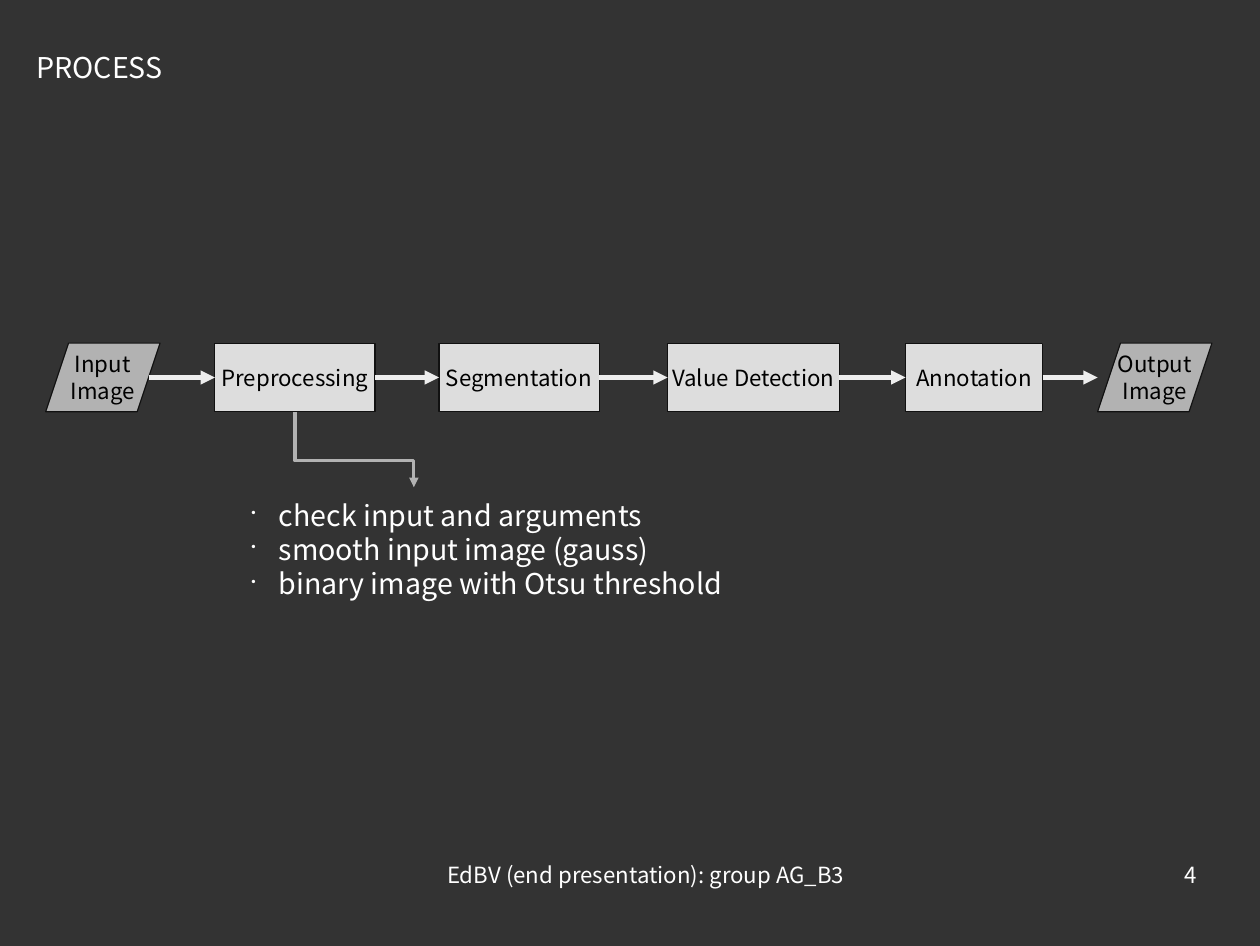
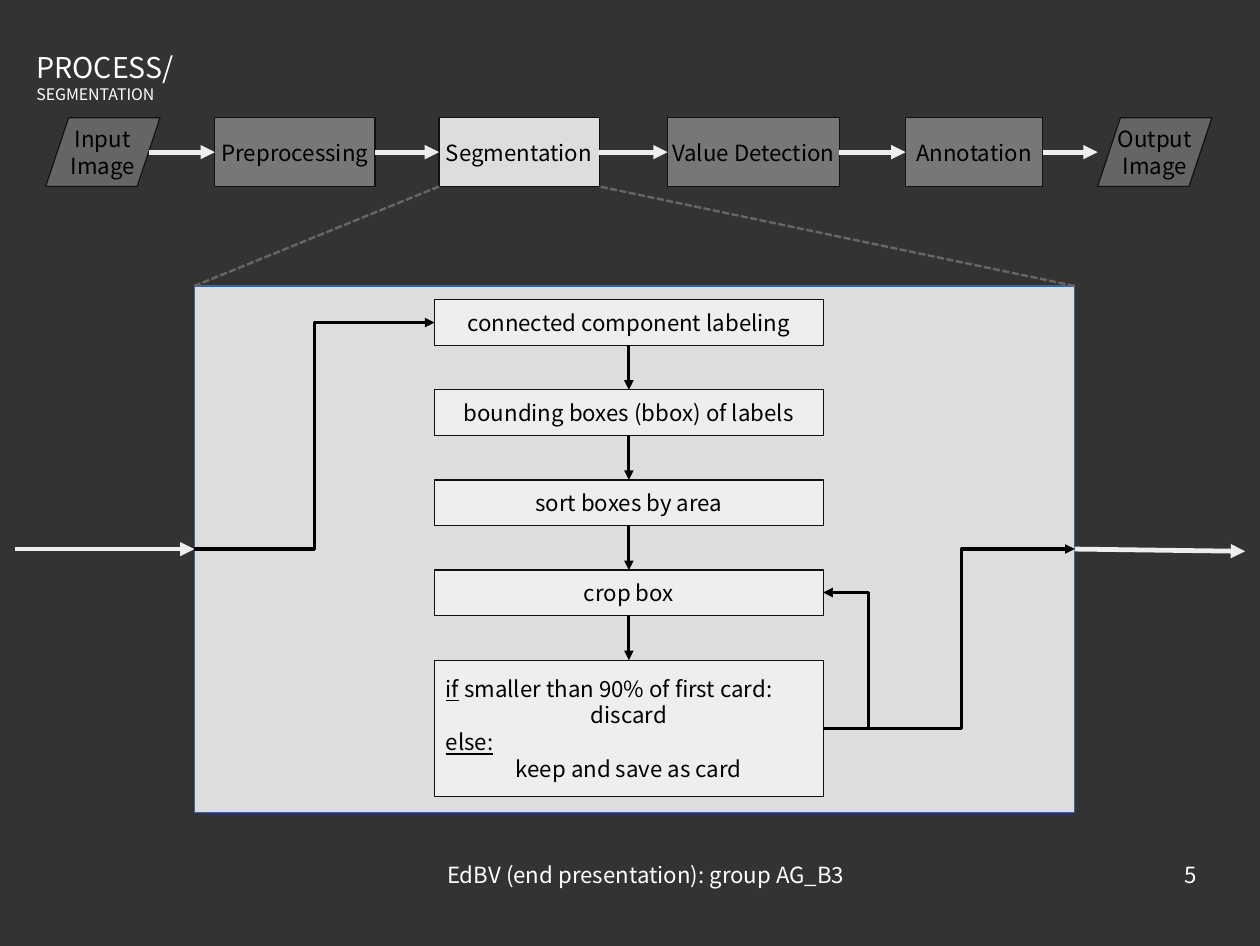
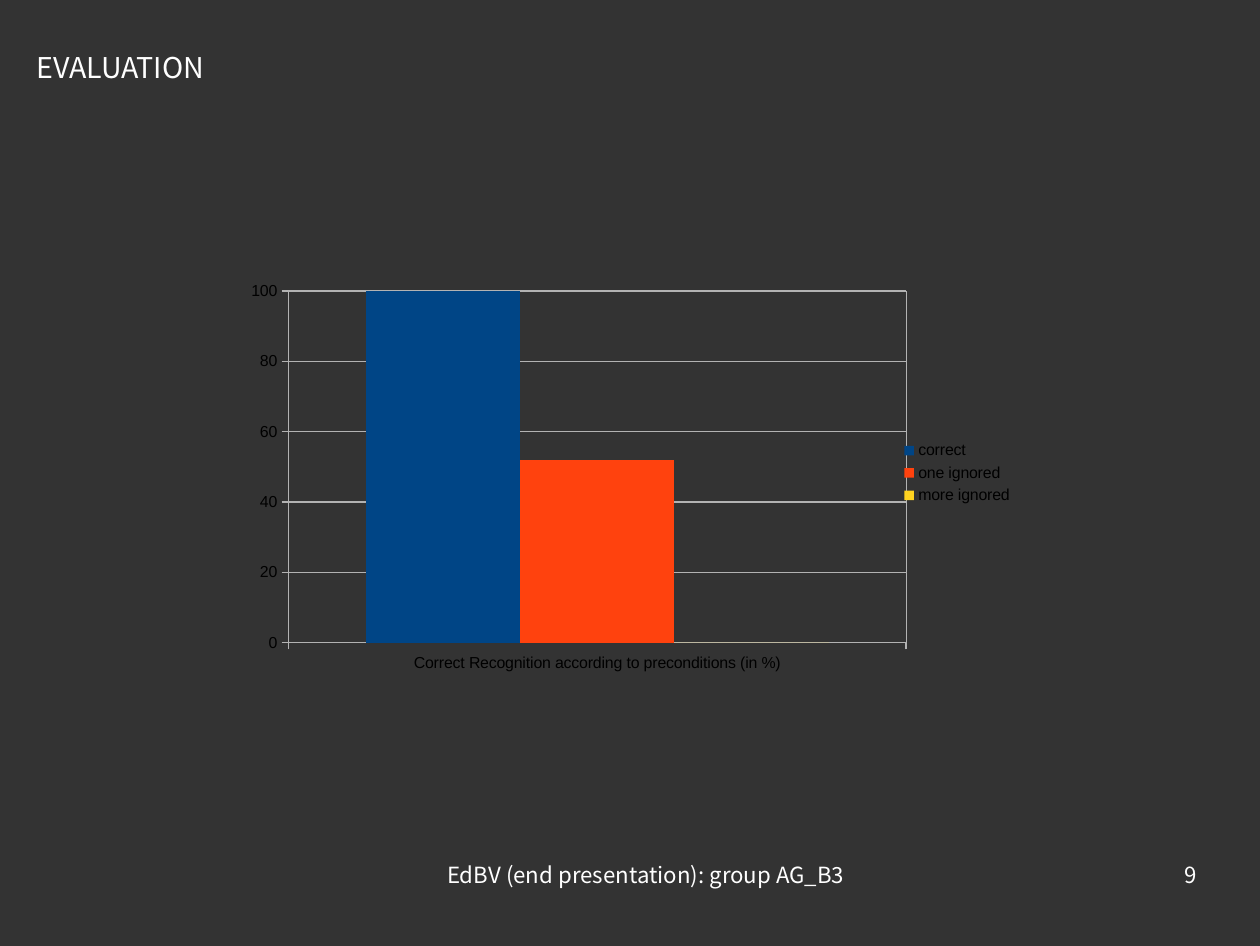
from dataclasses import dataclass

from lxml import etree
from pptx import Presentation
from pptx.chart.data import CategoryChartData
from pptx.dml.color import RGBColor
from pptx.enum.chart import XL_CHART_TYPE, XL_LEGEND_POSITION, XL_TICK_MARK
from pptx.enum.dml import MSO_LINE
from pptx.enum.shapes import MSO_CONNECTOR, MSO_SHAPE
from pptx.enum.text import MSO_ANCHOR, PP_ALIGN
from pptx.oxml import parse_xml
from pptx.oxml.ns import nsdecls, qn
from pptx.util import Inches, Pt

PROCESS = MSO_SHAPE.FLOWCHART_PROCESS
DATA = MSO_SHAPE.FLOWCHART_DATA
STRAIGHT, ELBOW = MSO_CONNECTOR.STRAIGHT, MSO_CONNECTOR.ELBOW
LEFT, CENTER, RIGHT = PP_ALIGN.LEFT, PP_ALIGN.CENTER, PP_ALIGN.RIGHT
MIDDLE = MSO_ANCHOR.MIDDLE
DASHED = MSO_LINE.SQUARE_DOT
COLUMNS = XL_CHART_TYPE.COLUMN_CLUSTERED
LEGEND_RIGHT = XL_LEGEND_POSITION.RIGHT
TICK_OUT = XL_TICK_MARK.OUTSIDE
TOP_SIDE, LEFT_SIDE, BOTTOM_SIDE, RIGHT_SIDE = range(4)
CELL = Inches(0.2)


@dataclass(frozen=True)
class Theme:
    font: str = "Noto Sans CJK KR"
    chart_font: str = "Arial"
    heading: int = 18
    body: int = 14
    small: int = 10
    back: str = "333333"
    white: str = "FFFFFF"
    black: str = "000000"
    outline: str = "111111"
    panel_line: str = "3465A4"
    stage: str = "DDDDDD"
    image: str = "B2B2B2"
    pale: str = "EEEEEE"
    zoom: str = "666666"
    grid: str = "B3B3B3"
    series: tuple = ("004586", "FF420E", "FFD320")


theme = Theme()


def add_box(page, place, text, kind=None, fill=None, size=theme.body, align=CENTER, inset=0.1):
    place = [int(CELL * cells) for cells in place]
    if kind is None:
        box = page.shapes.add_textbox(*place)
    else:
        box = page.shapes.add_shape(kind, *place)
        box.shadow.inherit = False
        box.fill.solid()
        box.fill.fore_color.rgb = RGBColor.from_string(fill)
        box.line.color.rgb = RGBColor.from_string(theme.outline)
        box.line.width = 0
        box.text_frame.vertical_anchor = MIDDLE
    frame = box.text_frame
    frame.word_wrap = kind is None
    frame.margin_left = frame.margin_right = Inches(inset)
    frame.margin_top = frame.margin_bottom = Inches(inset / 2)
    frame.text = text
    for para in frame.paragraphs:
        para.alignment = align
        para.font.name = theme.font
        para.font.size = Pt(size)
        para.font.color.rgb = RGBColor.from_string(theme.white if kind is None else theme.black)
    return box


def draw_line(page, start, end, colour, weight=0, arrow=True, bend=None):
    ends = [int(CELL * cells) for cells in (*start, *end)]
    line = page.shapes.add_connector(STRAIGHT if bend is None else ELBOW, *ends)
    line.line.color.rgb = RGBColor.from_string(colour)
    line.line.width = Pt(weight)
    properties = line.element.spPr
    if arrow:
        etree.SubElement(properties.find(qn("a:ln")), qn("a:tailEnd"), type="triangle")
    if bend is not None:
        values = properties.find(qn("a:prstGeom")).get_or_add_avLst()
        etree.SubElement(values, qn("a:gd"), name="adj1", fmla=f"val {round(bend * 100000)}")
    etree.SubElement(properties, qn("a:effectLst"))
    return line


deck = Presentation()
deck.slide_width, deck.slide_height = Inches(11.02), Inches(8.27)
backdrop = deck.slide_master.background.fill
backdrop.solid()
backdrop.fore_color.rgb = RGBColor.from_string(theme.back)

pages = []
for title, number in (("PROCESS", "4"), ("PROCESS/\nSEGMENTATION", "5"), ("EVALUATION", "9")):
    page = deck.slides.add_slide(deck.slide_layouts[6])
    heading = add_box(page, (1.1, 1.95, 23, 2.35), title, size=theme.heading, align=LEFT)
    for para in heading.text_frame.paragraphs[1:]:
        para.font.size = Pt(theme.small)
    add_box(page, (14, 37.65, 28.5, 2.85), "EdBV (end presentation): group AG_B3", inset=0)
    add_box(page, (47, 37.65, 5.35, 2.85), number, align=RIGHT, inset=0)
    pages.append(page)
process, segmentation, evaluation = pages

stages = (
    ("Input\vImage", DATA, 2, 5),
    ("Preprocessing", PROCESS, 9.4, 7),
    ("Segmentation", PROCESS, 19.2, 7),
    ("Value Detection", PROCESS, 29.2, 7.5),
    ("Annotation", PROCESS, 39.6, 6),
    ("Output\vImage", DATA, 48, 5),
)
for page, top, active in ((process, 15, None), (segmentation, 5.15, "Segmentation")):
    before = None
    for name, kind, left, width in stages:
        fill = theme.image if kind == DATA else theme.stage
        box = add_box(page, (left, top, width, 3), name, kind, fill)
        if active not in (None, name):
            tint = box.element.spPr.find(qn("a:solidFill"))[0]
            etree.SubElement(tint, qn("a:alpha"), val="40000")
        if before is not None:
            arrow = draw_line(page, (edge, top + 1.5), (left, top + 1.5), theme.pale, 3)
            if before.auto_shape_type == PROCESS:
                arrow.begin_connect(before, RIGHT_SIDE)
            if kind == PROCESS:
                arrow.end_connect(box, LEFT_SIDE)
        before = box
        edge = left + width * (0.9 if kind == DATA else 1)

detail_arrow = draw_line(process, (17.15, 17.05), (13.85, 22.25), theme.image, bend=0.65)
detail_arrow.element.spPr.find(qn("a:xfrm")).set("rot", "16200000")
details = add_box(
    process,
    (10.5, 21.5, 25, 7.3),
    "check input and arguments\nsmooth input image (gauss)\nbinary image with Otsu threshold",
    size=theme.heading,
    align=LEFT,
)
for para in details.text_frame.paragraphs:
    layout = para._p.get_or_add_pPr()
    layout.set("marL", str(Inches(0.24)))
    layout.set("indent", str(-Inches(0.24)))
    bullet = (
        f'<a:buClr {nsdecls("a")}><a:srgbClr val="{theme.white}"/></a:buClr>',
        f'<a:buSzPct {nsdecls("a")} val="45000"/>',
        f'<a:buChar {nsdecls("a")} char="•"/>',
    )
    for position, part in enumerate(bullet):
        layout.insert(position, parse_xml(part))

panel = add_box(segmentation, (8.5, 12.5, 38.5, 23), "", PROCESS, theme.stage)
panel.line.color.rgb = RGBColor.from_string(theme.panel_line)
draw_line(segmentation, (0.65, 24), (8.5, 24), theme.pale, 3).end_connect(panel, LEFT_SIDE)
draw_line(segmentation, (47, 24), (54.45, 24.1), theme.pale, 3).begin_connect(panel, RIGHT_SIDE)

steps = (
    "connected component labeling",
    "bounding boxes (bbox) of labels",
    "sort boxes by area",
    "crop box",
    "\ndiscard\nelse:\nkeep and save as card",
)
before = None
for row, step in enumerate(steps):
    top = 13.1 + 3.94 * row
    height = 5.95 if row == len(steps) - 1 else 2
    box = add_box(segmentation, (19, top, 17, height), step, PROCESS, theme.pale)
    if before is not None:
        arrow = draw_line(segmentation, (27.5, top - 1.94), (27.5, top), theme.black)
        arrow.begin_connect(before, BOTTOM_SIDE)
        arrow.end_connect(box, TOP_SIDE)
    before = box

box.text_frame.word_wrap = True
condition, _, otherwise, _ = box.text_frame.paragraphs
condition.alignment = otherwise.alignment = LEFT
otherwise.font.underline = True
for text, underlined in (("if", True), (" smaller than 90% of first card:", False)):
    span = condition.add_run()
    span.text = text
    span.font.underline = underlined

for start, end, bend in (
    ((8.5, 24), (19, 14.1), 0.5),
    ((36.05, 31.85), (36, 25.9), -39),
    ((36, 31.85), (47, 24), 0.55),
):
    draw_line(segmentation, start, end, theme.black, bend=bend)
for start, end in (((19.2, 8.15), (8.5, 12.5)), ((47, 12.5), (26.2, 8.15))):
    draw_line(segmentation, start, end, theme.zoom, 1.5, arrow=False).line.dash_style = DASHED

data = CategoryChartData()
data.categories = ["Correct Recognition according to preconditions (in %)"]
for name, value in (("correct", 100), ("one ignored", 52), ("more ignored", 0)):
    data.add_series(name, [value])
place = [int(CELL * cells) for cells in (10.3, 11.8, 34.5, 17.75)]
chart = evaluation.shapes.add_chart(COLUMNS, *place, data).chart
chart.has_title = False
chart.font.name = theme.chart_font
chart.font.size = Pt(theme.small)
chart.font.color.rgb = RGBColor.from_string(theme.black)
chart.has_legend = True
chart.legend.position = LEGEND_RIGHT
chart.legend.include_in_layout = False

plot = chart.plots[0]
plot.gap_width, plot.overlap = 100, 0
plot.vary_by_categories = False
for series, colour in zip(plot.series, theme.series):
    series.format.fill.solid()
    series.format.fill.fore_color.rgb = RGBColor.from_string(colour)

values = chart.value_axis
values.minimum_scale, values.maximum_scale, values.major_unit = 0, 100, 20
values.has_major_gridlines = True
for axis in (values, chart.category_axis):
    axis.major_tick_mark = TICK_OUT
for item in (values, chart.category_axis, values.major_gridlines):
    item.format.line.color.rgb = RGBColor.from_string(theme.grid)
    item.format.line.width = 0

plot_area = chart.element.find(".//" + qn("c:plotArea"))
for layout in plot_area.findall(qn("c:layout")):
    plot_area.remove(layout)
layout = etree.Element(qn("c:layout"))
manual = etree.SubElement(layout, qn("c:manualLayout"))
for tag, value in (
    ("layoutTarget", "outer"),
    ("xMode", "edge"),
    ("yMode", "edge"),
    ("x", "0.02"),
    ("y", "0.03"),
    ("w", "0.83"),
    ("h", "0.96"),
):
    etree.SubElement(manual, qn("c:" + tag), val=value)
plot_area.insert(0, layout)
plot_area.append(parse_xml(
    f'<c:spPr {nsdecls("c", "a")}><a:noFill/><a:ln w="0"><a:solidFill>'
    f'<a:srgbClr val="{theme.grid}"/></a:solidFill></a:ln></c:spPr>'
))

deck.save("out.pptx")
